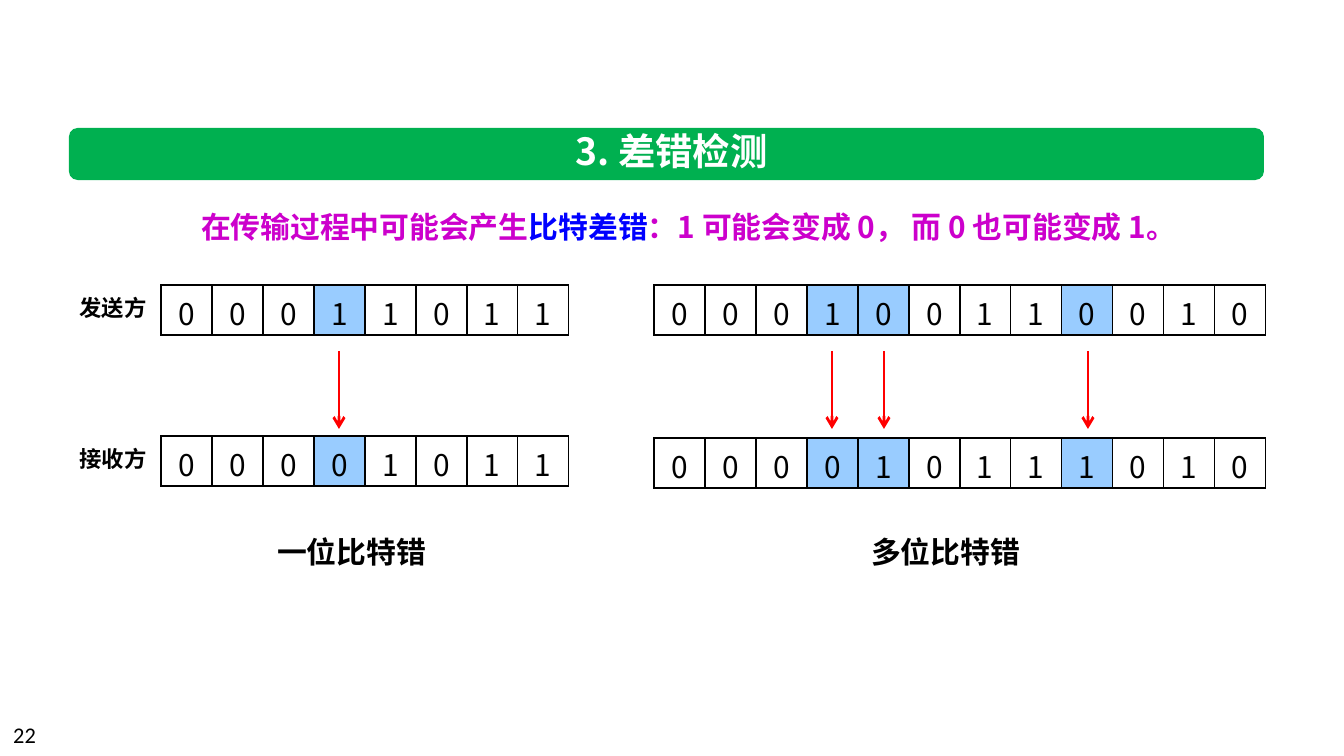
from dataclasses import dataclass

from lxml import etree
from pptx import Presentation
from pptx.dml.color import RGBColor
from pptx.enum.shapes import MSO_CONNECTOR, MSO_SHAPE
from pptx.enum.text import MSO_ANCHOR, MSO_AUTO_SIZE, PP_ALIGN
from pptx.oxml.ns import qn
from pptx.util import Emu, Pt

LEFT, CENTER, RIGHT = PP_ALIGN.LEFT, PP_ALIGN.CENTER, PP_ALIGN.RIGHT
MIDDLE = MSO_ANCHOR.MIDDLE
GROW, FIXED = MSO_AUTO_SIZE.SHAPE_TO_FIT_TEXT, MSO_AUTO_SIZE.NONE
ROUNDED = MSO_SHAPE.ROUNDED_RECTANGLE
STRAIGHT = MSO_CONNECTOR.STRAIGHT
PX_PER_INCH = 134.4
CELL_W, CELL_H = 51, 50
SENT_Y, ARROW_TOP, ARROW_BOTTOM = 285, 351, 429


@dataclass(frozen=True)
class Theme:
    font: str = "Noto Sans CJK SC"
    number_font: str = "Calibri"
    banner: str = "00B050"
    white: str = "FFFFFF"
    black: str = "000000"
    flipped: str = "99CCFF"
    arrow: str = "FF0000"
    statement: str = "CC00CC"
    term: str = "0000FF"
    title: int = 20
    body: int = 16
    small: int = 12


THEME = Theme()


def px(n):
    return Emu(round(n * 914400 / PX_PER_INCH))


def rgb(value):
    return RGBColor.from_string(value)


def write(tf, text, *, size=THEME.body, color=THEME.black, bold=False,
          align=CENTER, font=THEME.font):
    runs = [(text, color)] if isinstance(text, str) else text
    p = tf.paragraphs[0]
    p.alignment = align
    for words, run_color in runs:
        r = p.add_run()
        r.text = words
        r.font.size = Pt(size)
        r.font.bold = bold
        r.font.color.rgb = rgb(run_color)
        r.font.name = font
        latin = r.font._element.find(qn("a:latin"))
        ea = etree.Element(qn("a:ea"), typeface=font)
        latin.addnext(ea)


def add_text(s, box, text, *, wrap=False, grow=True, **fmt):
    tf = s.shapes.add_textbox(*map(px, box)).text_frame
    tf.word_wrap = wrap
    tf.auto_size = GROW if grow else FIXED
    write(tf, text, **fmt)


def add_banner(s, box):
    sp = s.shapes.add_shape(ROUNDED, *map(px, box))
    sp.shadow.inherit = False
    sp.fill.solid()
    sp.fill.fore_color.rgb = rgb(THEME.banner)
    sp.line.fill.background()


def add_borders(cell):
    tc_pr = cell._tc.get_or_add_tcPr()
    for side in ("lnL", "lnR", "lnT", "lnB"):
        ln = etree.SubElement(tc_pr, qn(f"a:{side}"), w=str(Pt(1)))
        fill = etree.SubElement(ln, qn("a:solidFill"))
        etree.SubElement(fill, qn("a:srgbClr"), val=THEME.black)


def add_bits(s, x, y, bits, flips):
    frame = s.shapes.add_table(1, len(bits), px(x), px(y),
                               px(CELL_W * len(bits)), px(CELL_H))
    table = frame.table
    table.first_row = table.horz_banding = False
    table.rows[0].height = px(CELL_H)
    for i, bit in enumerate(bits):
        table.columns[i].width = px(CELL_W)
        cell = table.cell(0, i)
        cell.margin_left = cell.margin_right = cell.margin_bottom = 0
        cell.margin_top = px(6)
        cell.vertical_anchor = MIDDLE
        add_borders(cell)
        if i in flips:
            cell.fill.solid()
            cell.fill.fore_color.rgb = rgb(THEME.flipped)
        else:
            cell.fill.background()
        write(cell.text_frame, bit)


def add_arrow(s, x):
    line = s.shapes.add_connector(STRAIGHT, px(x), px(ARROW_TOP),
                                  px(x), px(ARROW_BOTTOM))
    line.line.color.rgb = rgb(THEME.arrow)
    line.line.width = Pt(1.5)
    etree.SubElement(line.line._get_or_add_ln(), qn("a:tailEnd"), type="arrow")
    etree.SubElement(line._element.spPr, qn("a:effectLst"))


def add_transmission(s, x, received_y, sent, received):
    flips = [i for i, (a, b) in enumerate(zip(sent, received)) if a != b]
    add_bits(s, x, SENT_Y, sent, flips)
    add_bits(s, x, received_y, received, flips)
    for i in flips:
        add_arrow(s, x + round(CELL_W * (i + 0.5)))


def main():
    prs = Presentation()
    prs.slide_width, prs.slide_height = px(1344), px(756)
    s = prs.slides.add_slide(prs.slide_layouts[6])

    add_banner(s, (69, 128, 1195, 52))
    add_text(s, (554, 122, 235, 59), "3. 差错检测", size=THEME.title,
             color=THEME.white, bold=True)
    add_text(s, (134, 202, 1109, 50), [
        ("在传输过程中可能会产生", THEME.statement),
        ("比特差错", THEME.term),
        ("：1 可能会变成 0， 而 0 也可能变成 1。", THEME.statement),
    ], wrap=True, bold=True)

    add_transmission(s, 161, 436, "00011011", "00001011")
    add_transmission(s, 654, 438, "000100110010", "000010111010")

    for y, label in ((288, "发送方"), (439, "接收方")):
        add_text(s, (65, y, 95, 40), label, size=THEME.small, bold=True,
                 align=RIGHT)
    for x, caption in ((263, "一位比特错"), (857, "多位比特错")):
        add_text(s, (x, 527, 177, 50), caption, bold=True)
    add_text(s, (0, 715, 313, 40), "22", wrap=True, grow=False,
             size=THEME.small, align=LEFT, font=THEME.number_font)

    prs.save("out.pptx")


if __name__ == "__main__":
    main()
